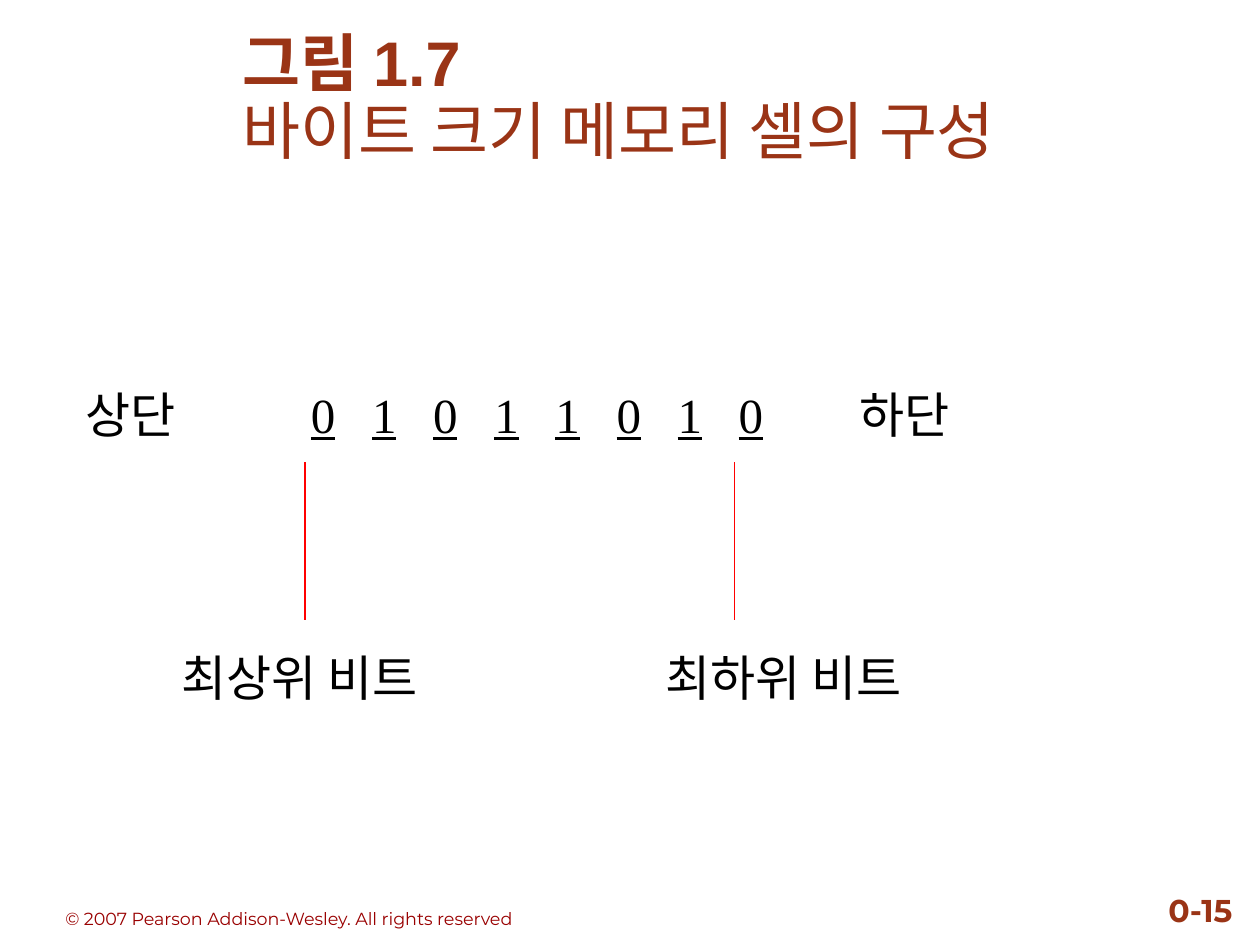
from dataclasses import dataclass

from lxml import etree
from pptx import Presentation
from pptx.dml.color import RGBColor
from pptx.enum.shapes import MSO_CONNECTOR
from pptx.enum.text import MSO_ANCHOR, PP_ALIGN
from pptx.oxml.ns import qn
from pptx.util import Inches, Pt

STRAIGHT = MSO_CONNECTOR.STRAIGHT
TOP, MIDDLE, BOTTOM = MSO_ANCHOR.TOP, MSO_ANCHOR.MIDDLE, MSO_ANCHOR.BOTTOM
LEFT, RIGHT = PP_ALIGN.LEFT, PP_ALIGN.RIGHT


@dataclass(frozen=True)
class Theme:
    rust: RGBColor = RGBColor(0x9A, 0x34, 0x16)
    dark_red: RGBColor = RGBColor(0x99, 0x00, 0x00)
    black: RGBColor = RGBColor(0, 0, 0)
    red: RGBColor = RGBColor(0xFF, 0, 0)
    title_font: str = "Arial"
    body_font: str = "Times New Roman"
    footer_font: str = "Montserrat"
    title_size: int = 36
    body_size: int = 28
    number_size: int = 18
    footer_size: int = 10
    row_gap: int = 117
    line_width: float = 0.75


@dataclass(frozen=True)
class Box:
    left: float
    top: float
    width: float
    height: float


@dataclass(frozen=True)
class Cell:
    """A piece of text starting at a tab stop, in inches from the text edge."""
    text: str
    tab: float
    underline: bool = False


THEME = Theme()
WIDTH, HEIGHT = 10, 7.5

TITLE_BOX = Box(1.83, 0.17, 7.92, 1.25)
MEMORY_BOX = Box(0.58, 3, 8.5, 2.7)
COPYRIGHT_BOX = Box(0.42, 6.92, 6.17, 0.5)
NUMBER_BOX = Box(8.88, 6.92, 1, 0.5)

# Bits sit on an even grid between the two end labels
BITS = "01011010"
BIT_START, BIT_STEP = 1.79, 0.485
BIT_ROW = [
    Cell("상단", 0),
    *[Cell(bit, BIT_START + i * BIT_STEP, True) for i, bit in enumerate(BITS)],
    Cell("하단", 6.14),
]
LABEL_ROW = [Cell("최상위 비트", 0.76), Cell("최하위 비트", 4.6)]

MARKER_XS = (2.42, 5.83)
MARKER_TOP, MARKER_BOTTOM = 3.67, 4.92


def add_text_frame(slide, box: Box, anchor):
    shape = slide.shapes.add_textbox(
        Inches(box.left), Inches(box.top), Inches(box.width), Inches(box.height))
    frame = shape.text_frame
    frame.word_wrap = True
    frame.vertical_anchor = anchor
    return frame


def style_paragraph(paragraph, font: str, size: int, color: RGBColor) -> None:
    paragraph.font.name = font
    paragraph.font.size = Pt(size)
    paragraph.font.color.rgb = color


def add_title(slide, number: str, caption: str) -> None:
    paragraph = add_text_frame(slide, TITLE_BOX, MIDDLE).paragraphs[0]
    paragraph.line_spacing = 0.9
    style_paragraph(paragraph, THEME.title_font, THEME.title_size, THEME.rust)
    number_run = paragraph.add_run()
    number_run.text = number
    number_run.font.bold = True
    paragraph.add_line_break()
    paragraph.add_run().text = caption


def fill_row(paragraph, cells: list[Cell], space_before: int = 0) -> None:
    paragraph.space_before = Pt(space_before)
    stops = etree.SubElement(paragraph._p.get_or_add_pPr(), qn("a:tabLst"))
    for cell in cells:
        if cell.tab:
            etree.SubElement(stops, qn("a:tab"), pos=str(Inches(cell.tab)), algn="l")
            paragraph.add_run().text = "\t"
        run = paragraph.add_run()
        run.text = cell.text
        if cell.underline:
            run.font.underline = True
    style_paragraph(paragraph, THEME.body_font, THEME.body_size, THEME.black)


def add_marker(slide, x: float) -> None:
    line = slide.shapes.add_connector(
        STRAIGHT, Inches(x), Inches(MARKER_TOP), Inches(x), Inches(MARKER_BOTTOM))
    line.line.color.rgb = THEME.red
    line.line.width = Pt(THEME.line_width)
    etree.SubElement(line._element.spPr, qn("a:effectLst"))


def add_footer(slide, box: Box, text: str, size: int, color: RGBColor,
               align=LEFT, bold: bool = False) -> None:
    paragraph = add_text_frame(slide, box, BOTTOM).paragraphs[0]
    paragraph.text = text
    paragraph.alignment = align
    style_paragraph(paragraph, THEME.footer_font, size, color)
    paragraph.font.bold = bold


def main() -> None:
    presentation = Presentation()
    presentation.slide_width = Inches(WIDTH)
    presentation.slide_height = Inches(HEIGHT)
    slide = presentation.slides.add_slide(presentation.slide_layouts[6])

    # Footer
    add_footer(slide, COPYRIGHT_BOX,
               "© 2007 Pearson Addison-Wesley. All rights reserved",
               THEME.footer_size, THEME.dark_red)
    add_footer(slide, NUMBER_BOX, "0-15", THEME.number_size, THEME.rust, RIGHT, True)

    # Title
    add_title(slide, "그림 1.7", "바이트 크기 메모리 셀의 구성")

    # Memory cell with its bit labels
    frame = add_text_frame(slide, MEMORY_BOX, TOP)
    fill_row(frame.paragraphs[0], BIT_ROW)
    fill_row(frame.add_paragraph(), LABEL_ROW, THEME.row_gap)

    # Lines from the end bits to their labels
    for x in MARKER_XS:
        add_marker(slide, x)

    presentation.save("out.pptx")


if __name__ == "__main__":
    main()
